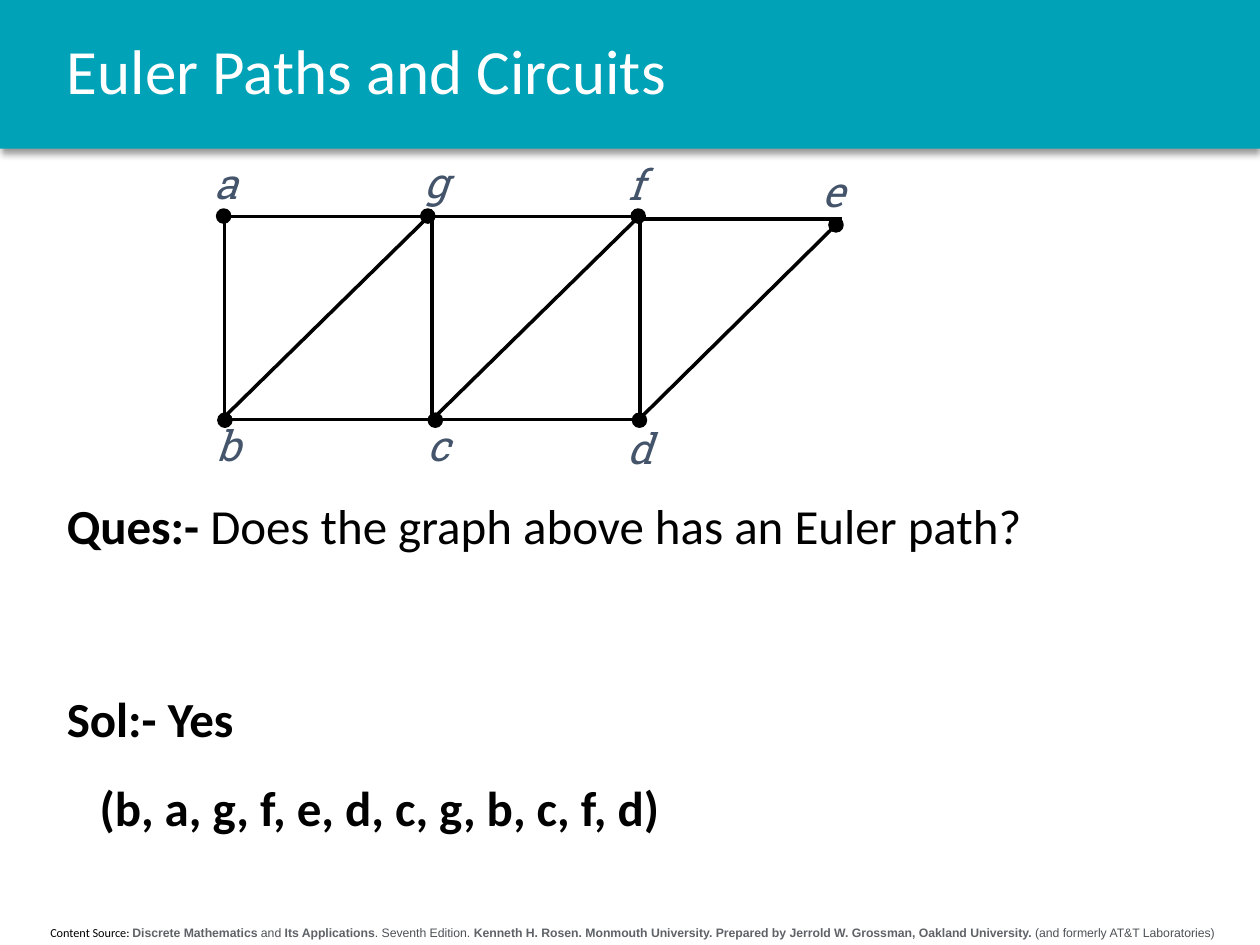
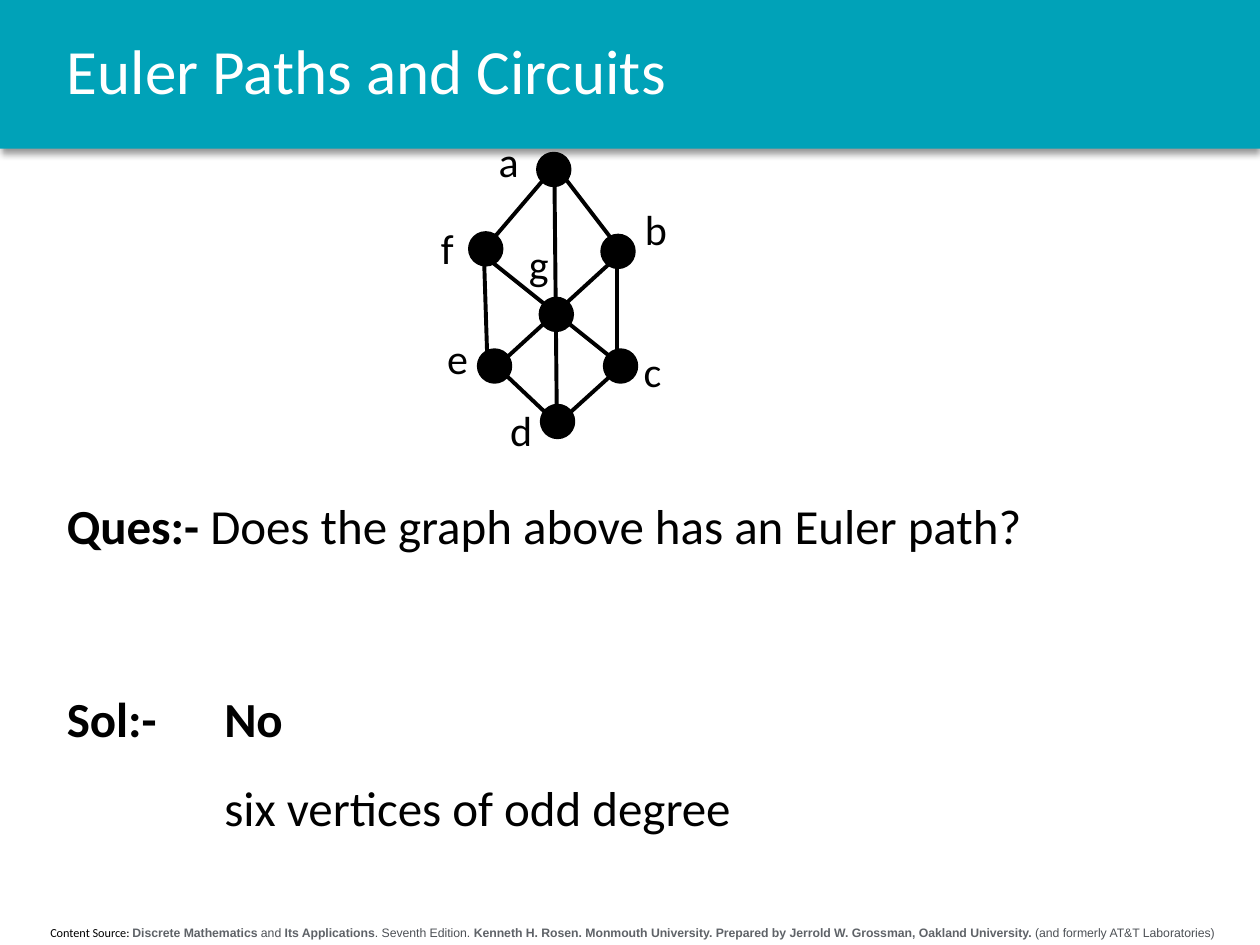
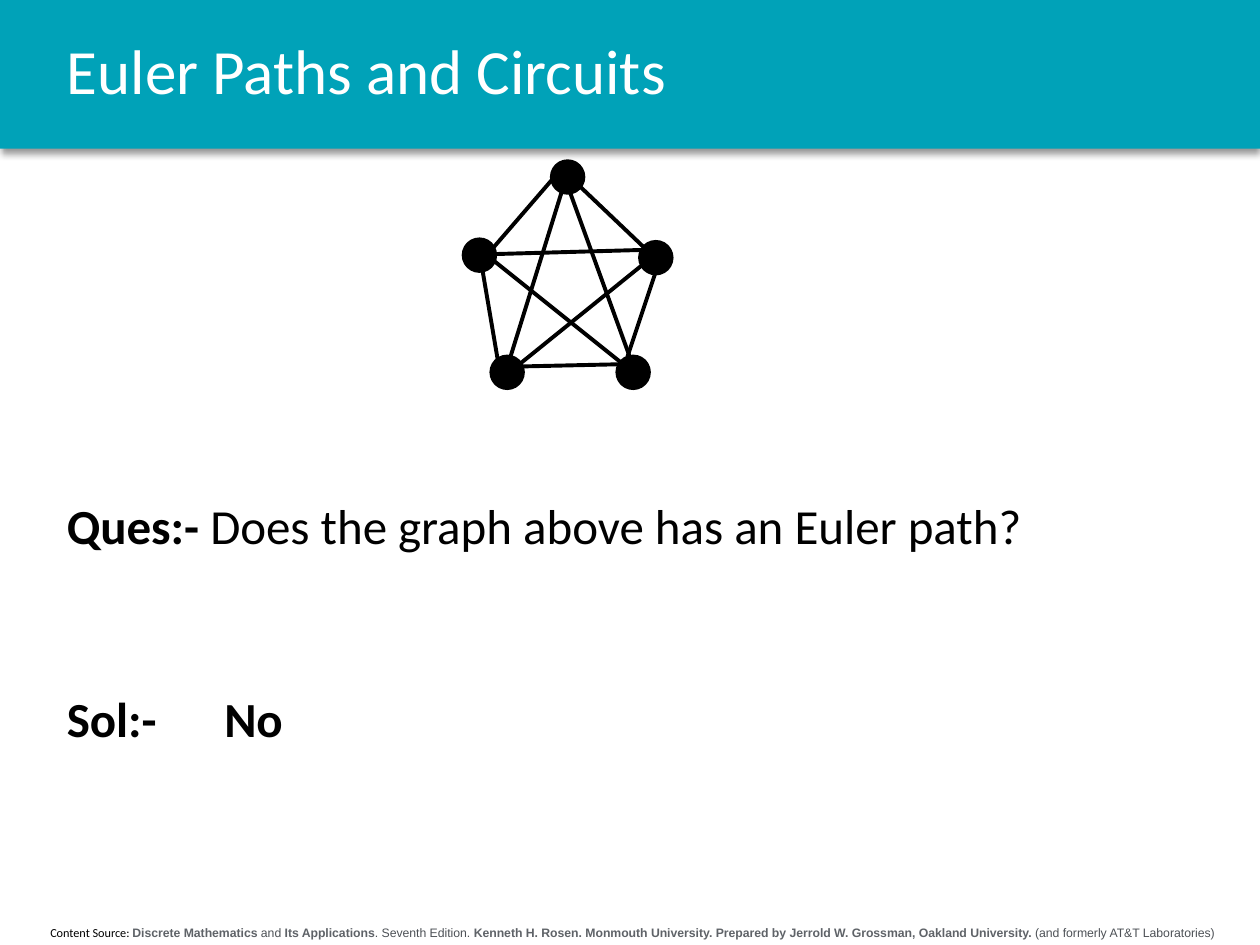
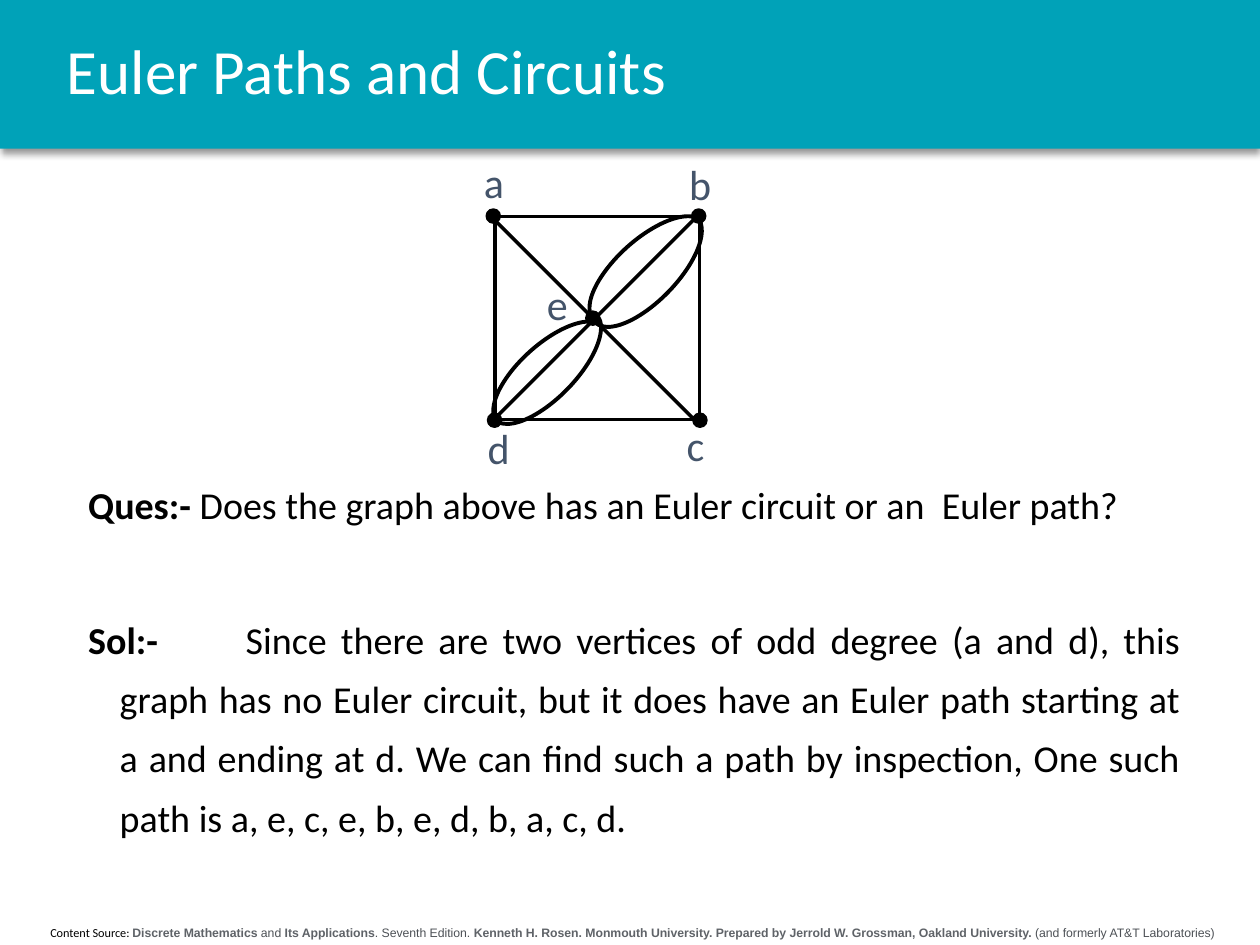
from dataclasses import dataclass

from lxml import etree
from pptx import Presentation
from pptx.dml.color import RGBColor
from pptx.enum.shapes import MSO_CONNECTOR, MSO_SHAPE
from pptx.enum.text import MSO_ANCHOR, MSO_AUTO_SIZE, PP_ALIGN
from pptx.oxml.ns import qn
from pptx.util import Inches, Pt

RECTANGLE, OVAL, ARC = MSO_SHAPE.RECTANGLE, MSO_SHAPE.OVAL, MSO_SHAPE.ARC
STRAIGHT = MSO_CONNECTOR.STRAIGHT
TOP, MIDDLE = MSO_ANCHOR.TOP, MSO_ANCHOR.MIDDLE
LEFT, CENTER, JUSTIFY = PP_ALIGN.LEFT, PP_ALIGN.CENTER, PP_ALIGN.JUSTIFY
NO_FIT = MSO_AUTO_SIZE.NONE

BLACK = RGBColor(0x00, 0x00, 0x00)
WHITE = RGBColor(0xFF, 0xFF, 0xFF)
TEAL = RGBColor(0x00, 0xA2, 0xB8)
SLATE = RGBColor(0x44, 0x54, 0x6A)
DARK_GREY = RGBColor(0x4D, 0x51, 0x56)
MID_GREY = RGBColor(0x5F, 0x63, 0x68)

TITLE = "Euler Paths and Circuits"
PATH_QUESTION = [("Ques:- ", True), ("Does the graph above has an Euler path?", False)]
FOOTER = [
    ("Content Source: ", "Calibri", BLACK, False),
    ("Discrete Mathematics", "Arial", MID_GREY, True),
    (" and ", "Arial", DARK_GREY, False),
    ("Its Applications", "Arial", MID_GREY, True),
    (". Seventh Edition. ", "Arial", DARK_GREY, False),
    ("Kenneth H. Rosen. Monmouth University. Prepared by Jerrold W. Grossman, "
     "Oakland University.", "Arial", MID_GREY, True),
    (" (and formerly AT&T Laboratories)", "Arial", DARK_GREY, False),
]
TITLE_BOX = (0.43, 0, 9.3, 1.18)
BODY_BOX = (0.43, 1.37, 9.3, 5.84)
TAB_SIZE = str(Inches(1))


@dataclass
class GraphStyle:
    node_size: float
    node_line: float
    edge_line: float
    label_size: tuple = (0.32, 0.4)
    label_margins: tuple = (0, 0)
    label_font: str = "Calibri"
    label_color: RGBColor = SLATE
    label_italic: bool = False


@dataclass
class Line:
    """One paragraph of the question text; lengths in inches, gap in points."""
    runs: list
    gap: float = 0
    margin: float = 0
    indent: float = 0


# Shared parts
def place(shape, box):
    shape.left, shape.top, shape.width, shape.height = (Inches(value) for value in box)


def inch_box(left, top, width, height):
    return Inches(left), Inches(top), Inches(width), Inches(height)


def add_band_and_footer(slide):
    """Build the title band and source line and move them to the slide's layout."""
    band = slide.shapes.add_shape(RECTANGLE, *inch_box(0, 0, 10, 1.18))
    band.fill.solid()
    band.fill.fore_color.rgb = TEAL
    band.line.fill.background()
    band.shadow.inherit = False
    effects = band.element.spPr.find(qn("a:effectLst"))
    shadow = etree.SubElement(effects, qn("a:outerShdw"), blurRad=str(Pt(4)),
                              dist=str(Pt(3)), dir="5400000", rotWithShape="0")
    color = etree.SubElement(shadow, qn("a:srgbClr"), val=str(BLACK))
    etree.SubElement(color, qn("a:alpha"), val="40000")

    footer = slide.shapes.add_textbox(*inch_box(0.04, 7.29, 9.96, 0.22))
    footer.text_frame.word_wrap = True
    paragraph = footer.text_frame.paragraphs[0]
    paragraph.alignment = CENTER
    paragraph.font.size = Pt(7)
    for text, font, color, bold in FOOTER:
        run = paragraph.add_run()
        run.text = text
        run.font.size = Pt(7)
        run.font.name = font
        run.font.color.rgb = color
        run.font.bold = bold

    layout_tree = slide.slide_layout.shapes.element
    for index, shape in enumerate((band, footer)):
        layout_tree.insert(2 + index, shape.element)


def fill_title(slide):
    title = slide.shapes.title
    place(title, TITLE_BOX)
    frame = title.text_frame
    frame.auto_size = NO_FIT
    frame.vertical_anchor = MIDDLE
    frame.text = TITLE
    paragraph = frame.paragraphs[0]
    paragraph.alignment = LEFT
    paragraph.line_spacing = 0.9
    paragraph.font.name = "Calibri"
    paragraph.font.size = Pt(36)
    paragraph.font.color.rgb = WHITE


def format_indent(paragraph, line):
    properties = paragraph._p.get_or_add_pPr()
    properties.set("marL", str(Inches(line.margin)))
    properties.set("indent", str(Inches(line.indent)))
    properties.set("defTabSz", TAB_SIZE)
    etree.SubElement(properties, qn("a:buNone"))


def fill_body(slide, box, lines, size, spacing, top_margin):
    body = slide.placeholders[1]
    place(body, box)
    frame = body.text_frame
    frame.auto_size = NO_FIT
    frame.vertical_anchor = TOP
    frame.margin_top = Inches(top_margin)
    for index, line in enumerate(lines):
        paragraph = frame.add_paragraph() if index else frame.paragraphs[0]
        format_indent(paragraph, line)
        paragraph.alignment = JUSTIFY
        paragraph.line_spacing = spacing
        paragraph.space_before = Pt(line.gap)
        paragraph.font.name = "Calibri"
        paragraph.font.size = Pt(size)
        paragraph.font.color.rgb = BLACK
        for text, bold in line.runs:
            run = paragraph.add_run()
            run.text = text
            run.font.bold = bold


# Graph drawing: all places are offsets from the graph's origin
def add_edge(slide, origin, edge, style):
    left, top = origin
    x1, y1, x2, y2 = edge
    connector = slide.shapes.add_connector(
        STRAIGHT, *inch_box(left + x1, top + y1, left + x2, top + y2))
    connector.line.color.rgb = BLACK
    connector.line.width = Pt(style.edge_line)
    etree.SubElement(connector.element.spPr, qn("a:effectLst"))


def add_node(slide, origin, node, style):
    node_box = (origin[0] + node[0], origin[1] + node[1], style.node_size, style.node_size)
    dot = slide.shapes.add_shape(OVAL, *inch_box(*node_box))
    dot.shadow.inherit = False
    dot.fill.solid()
    dot.fill.fore_color.rgb = BLACK
    dot.line.color.rgb = BLACK
    dot.line.width = Pt(style.node_line)


def add_label(slide, origin, name, offset, style):
    label_box = (origin[0] + offset[0], origin[1] + offset[1], *style.label_size)
    frame = slide.shapes.add_textbox(*inch_box(*label_box)).text_frame
    frame.word_wrap = True
    side, end = (Inches(margin) for margin in style.label_margins)
    frame.margin_left = frame.margin_right = side
    frame.margin_top = frame.margin_bottom = end
    frame.text = name
    font = frame.paragraphs[0].font
    font.name = style.label_font
    font.size = Pt(24)
    font.italic = style.label_italic
    font.color.rgb = style.label_color


def add_arc(slide, origin, arc):
    left, top, width, height, rotation = arc
    shape = slide.shapes.add_shape(
        ARC, *inch_box(origin[0] + left, origin[1] + top, width, height))
    shape.shadow.inherit = False
    shape.rotation = rotation
    # Start just past half a turn, end at the right
    shape.adjustments[0] = 109.95
    shape.adjustments[1] = 0
    shape.fill.background()
    shape.line.color.rgb = BLACK
    shape.line.width = Pt(2.25)


def draw_graph(slide, origin, style, nodes, edges, labels=None, arcs=()):
    for edge in edges:
        add_edge(slide, origin, edge, style)
    for node in nodes:
        add_node(slide, origin, node, style)
    for arc in arcs:
        add_arc(slide, origin, arc)
    for name, offset in (labels or {}).items():
        add_label(slide, origin, name, offset, style)


# Slides
def build_path_slide(slide, answer):
    fill_title(slide)
    fill_body(slide, BODY_BOX, [Line(PATH_QUESTION)] + answer, 28, 1.5, 2.33)


def build_strip_slide(slide):
    build_path_slide(slide, [
        Line([("Sol:- Yes", True)], gap=60, margin=0.25, indent=-0.25),
        Line([("(b, a, g, f, e, d, c, g, b, c, f, d)", True)], margin=0.26),
    ])
    style = GraphStyle(0.11, 1, 2, label_font="Roboto Slab", label_italic=True)
    nodes = [(0.02, 0.46), (1.64, 0.46), (3.31, 0.46), (4.88, 0.53),
             (0.03, 2.08), (1.7, 2.08), (3.32, 2.08)]
    edges = [
        (0.13, 0.52, 1.73, 0.52), (1.69, 0.52, 3.4, 0.52), (3.37, 0.54, 4.98, 0.54),
        (0.1, 2.13, 1.7, 2.13), (1.77, 2.13, 3.37, 2.13),
        (0.08, 0.53, 0.08, 2.14), (1.73, 0.53, 1.73, 2.13), (3.38, 0.53, 3.38, 2.14),
        (0.08, 2.11, 1.71, 0.51), (1.75, 2.11, 3.38, 0.51), (3.37, 2.13, 4.97, 0.55),
    ]
    labels = {"a": (0, 0.05), "g": (1.67, 0.04), "f": (3.29, 0.06), "e": (4.83, 0.11),
              "b": (0.02, 2.13), "c": (1.69, 2.13), "d": (3.28, 2.15)}
    draw_graph(slide, (1.7, 1.2), style, nodes, edges, labels)


def no_answer():
    return Line([("Sol:-\tNo", True)], gap=60, margin=1.25, indent=-1.25)


def build_wheel_slide(slide):
    build_path_slide(slide, [
        no_answer(),
        Line([("six vertices of odd degree", False)], margin=1.25),
    ])
    style = GraphStyle(0.25, 2.25, 2.25, label_size=(0.37, 0.5),
                       label_margins=(0.1, 0.05), label_color=BLACK)
    nodes = [(0.87, 0.22), (1.38, 0.87), (1.4, 1.78), (0.9, 2.22),
             (0.4, 1.78), (0.33, 0.85), (0.89, 1.37)]
    edges = [
        (1.05, 0.37, 1.48, 0.93), (1.5, 0.96, 1.5, 1.87), (1.03, 2.36, 1.56, 1.88),
        (0.47, 1.84, 1.02, 2.36), (0.44, 0.99, 0.47, 1.92), (0.97, 0.36, 0.45, 0.97),
        (1, 0.37, 1.02, 2.36), (1.56, 0.98, 0.51, 1.94), (0.38, 0.98, 1.48, 1.86),
    ]
    labels = {"a": (0.46, 0.03), "b": (1.62, 0.57), "c": (1.61, 1.69), "d": (0.55, 2.16),
              "e": (0.05, 1.59), "f": (0, 0.72), "g": (0.7, 0.84)}
    draw_graph(slide, (3.4, 1), style, nodes, edges, labels)


def build_pentagon_slide(slide):
    build_path_slide(slide, [no_answer()])
    nodes = [(0.78, 0.08), (1.48, 0.72), (1.3, 1.63), (0.3, 1.63), (0.08, 0.7)]
    edges = [
        (0.94, 0.22, 1.56, 0.81), (1.63, 0.88, 1.38, 1.63), (1.37, 1.69, 0.47, 1.71),
        (0.21, 0.83, 0.37, 1.77), (0.83, 0.17, 0.26, 0.83), (1.63, 0.78, 0.21, 0.82),
        (1.65, 0.78, 0.4, 1.79), (0.27, 0.83, 1.37, 1.71), (0.9, 0.26, 1.43, 1.72),
        (0.89, 0.22, 0.39, 1.83),
    ]
    draw_graph(slide, (3.6, 1.2), GraphStyle(0.25, 2.25, 2.25), nodes, edges)


def build_square_slide(slide):
    fill_title(slide)
    lines = [
        Line([("Ques:- ", True),
              ("Does the graph above has an Euler circuit or an  Euler path?", False)]),
        Line([("Sol:-\t", True),
              ("Since there are two vertices of odd degree (a and d), this graph has no "
               "Euler circuit, but it does have an Euler path starting at a and ending "
               "at d. We can find such a path by inspection, One such path is "
               "a, e, c, e, b, e, d, b, a, c, d.", False)],
             gap=43.5, margin=0.25, indent=-0.25),
    ]
    fill_body(slide, (0.6, 3.65, 8.87, 3.72), lines, 21.7, 1.3, 0.06)
    nodes = [(0.06, 0.46), (1.69, 0.46), (1.7, 2.08), (0.07, 2.08), (0.85, 1.27)]
    edges = [
        (0.17, 0.52, 1.78, 0.52), (1.75, 0.53, 1.75, 2.14), (0.14, 2.13, 1.75, 2.13),
        (0.13, 0.53, 0.13, 2.14), (1.71, 0.54, 0.12, 2.13), (0.12, 0.54, 1.71, 2.13),
    ]
    labels = {"a": (0.04, 0.04), "b": (1.67, 0.06), "c": (1.65, 2.13),
              "d": (0.07, 2.15), "e": (0.54, 1.01)}
    arcs = [(0, 1.53, 1.13, 0.48, 318), (0.76, 0.7, 1.16, 0.49, 318),
            (0.75, 0.7, 1.16, 0.49, 134.1), (-0.05, 1.47, 1.16, 0.49, 134.1)]
    draw_graph(slide, (3.8, 1.2), GraphStyle(0.11, 1, 2), nodes, edges, labels, arcs)


def main():
    presentation = Presentation()
    presentation.slide_width = Inches(10)
    presentation.slide_height = Inches(7.5)
    for level in presentation.slide_master.element.iter(qn("a:lvl1pPr")):
        level.set("defTabSz", TAB_SIZE)
    layout = presentation.slide_layouts[1]
    builders = (build_strip_slide, build_wheel_slide,
                build_pentagon_slide, build_square_slide)
    for index, build in enumerate(builders):
        slide = presentation.slides.add_slide(layout)
        if index == 0:
            add_band_and_footer(slide)
        build(slide)
    presentation.save("out.pptx")


if __name__ == "__main__":
    main()
